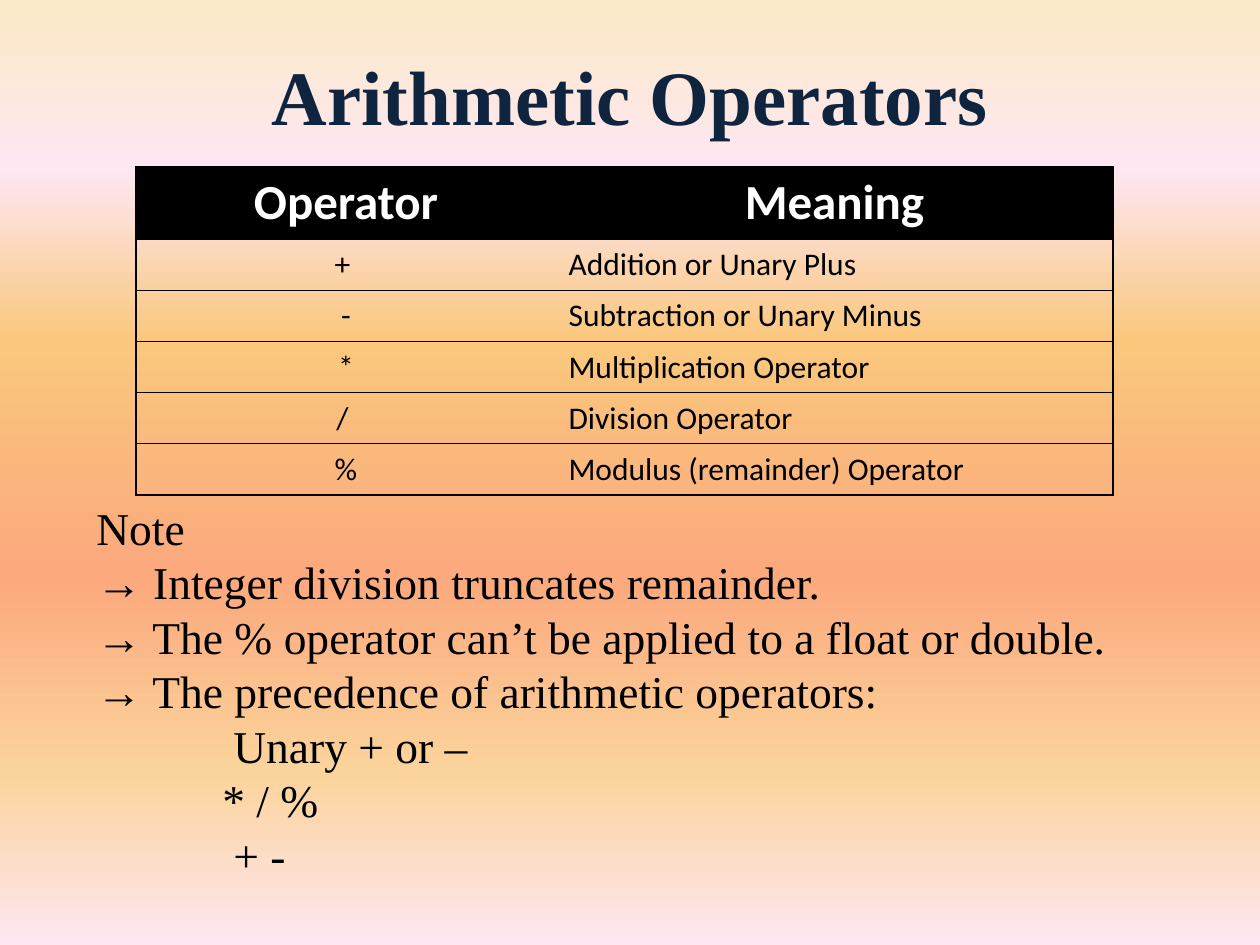
from typing import NamedTuple

from pptx import Presentation
from pptx import util as u
from pptx.dml.color import RGBColor
from pptx.enum import text as t
from pptx.oxml import parse_xml
from pptx.oxml.ns import nsdecls, qn

PX = 914400 / 126
SERIF, SANS = "Times New Roman", "Calibri"
BLACK, WHITE, NAVY = "000000", "FFFFFF", "0F243E"


class Operator(NamedTuple):
    symbol: str
    meaning: str


class NoteLine(NamedTuple):
    wording: str
    indent: int = 0


class Stop(NamedTuple):
    percent: int
    color: str


HEADER = Operator("Operator", "Meaning")
OPERATORS = [
    Operator("+ ", "Addition or Unary Plus"),
    Operator("-", "Subtraction or Unary Minus"),
    Operator("*", "Multiplication Operator"),
    Operator("/ ", "Division Operator"),
    Operator("%", "Modulus (remainder) Operator"),
]
NOTES = [
    NoteLine("Note"),
    NoteLine("→ Integer division truncates remainder."),
    NoteLine("→ The % operator can’t be applied to a float or double."),
    NoteLine("→ The precedence of arithmetic operators:"),
    NoteLine("Unary + or –", 137),
    NoteLine("* / %", 126),
    NoteLine("+ -", 137),
]
SUNSET = [
    Stop(0, "FBEAC7"), Stop(18, "FEE7F2"), Stop(36, "FAC77D"),
    Stop(61, "FBA97D"), Stop(82, "FBD49C"), Stop(100, "FEE7F2"),
]
TITLE_FONT = {"name": SERIF, "size": u.Pt(44), "bold": True}
HEADER_FONT = {"name": SANS, "size": u.Pt(28), "bold": True}
CELL_FONT = {"name": SANS, "size": u.Pt(18), "bold": False}
NOTE_FONT = {"name": SERIF, "size": u.Pt(26), "bold": False}


def px(length: int) -> u.Emu:
    return u.Emu(round(length * PX))


def rgb(color: str) -> RGBColor:
    return RGBColor.from_string(color)


def write(paragraph, wording: str, font_format: dict, color: str, align) -> None:
    run = paragraph.add_run()
    run.text = wording
    paragraph.alignment = align
    for attribute, value in font_format.items():
        setattr(run.font, attribute, value)
    run.font.color.rgb = rgb(color)


def paint_background(slide, stops: list[Stop]) -> None:
    slide.background.fill.gradient()
    gradient = next(slide.element.iter(qn("a:gradFill")))
    stop_list = gradient.find(qn("a:gsLst"))
    for default_stop in list(stop_list):
        stop_list.remove(default_stop)
    for stop in stops:
        stop_list.append(parse_xml(
            f'<a:gs {nsdecls("a")} pos="{stop.percent * 1000}">'
            f'<a:srgbClr val="{stop.color}"/></a:gs>'))
    gradient.find(qn("a:lin")).set("ang", "5400000")


def set_borders(cell, visible: str) -> None:
    """Draw the named sides (L, R, T, B) and hide the others."""
    properties = cell._tc.get_or_add_tcPr()
    for position, side in enumerate("LRTB"):
        paint = (f'<a:solidFill><a:srgbClr val="{BLACK}"/></a:solidFill>'
                 if side in visible else "<a:noFill/>")
        properties.insert(position, parse_xml(
            f'<a:ln{side} {nsdecls("a")} w="9525">{paint}</a:ln{side}>'))


def draw_operators(slide) -> None:
    rows = [HEADER, *OPERATORS]
    header_height, row_height, widths = 72, 51, (420, 557)
    table = slide.shapes.add_table(
        len(rows), 2, px(136), px(167), px(sum(widths)),
        px(header_height + row_height * len(OPERATORS))).table
    table.horz_banding = False
    for column, width in zip(table.columns, widths):
        column.width = px(width)
    for index, operator in enumerate(rows):
        is_header = index == 0
        table.rows[index].height = px(header_height if is_header else row_height)
        for column, wording in enumerate(operator):
            cell = table.cell(index, column)
            centred = is_header or column == 0
            write(cell.text_frame.paragraphs[0], wording,
                  HEADER_FONT if is_header else CELL_FONT,
                  WHITE if is_header else BLACK,
                  t.PP_ALIGN.CENTER if centred else t.PP_ALIGN.LEFT)
            if is_header:
                cell.fill.solid()
                cell.fill.fore_color.rgb = rgb(BLACK)
            else:
                cell.fill.background()
            set_borders(cell, "LTB" if column == 0 else "RTB")


def draw_notes(slide) -> None:
    frame = slide.shapes.add_textbox(px(84), px(494), px(1081), px(398)).text_frame
    frame.word_wrap = True
    for index, note in enumerate(NOTES):
        paragraph = frame.add_paragraph() if index else frame.paragraphs[0]
        write(paragraph, note.wording, NOTE_FONT, BLACK, t.PP_ALIGN.LEFT)
        paragraph.line_spacing = u.Pt(31.1)
        if note.indent:
            paragraph._p.get_or_add_pPr().set("marL", str(px(note.indent)))


def main() -> None:
    deck = Presentation()
    deck.slide_width, deck.slide_height = px(1260), px(945)
    slide = deck.slides.add_slide(deck.slide_layouts[5])
    paint_background(slide, SUNSET)

    # Title
    title = slide.shapes.title
    place = {"left": 63, "top": 42, "width": 1134, "height": 105}
    for attribute, length in place.items():
        setattr(title, attribute, px(length))
    title.text_frame.vertical_anchor = t.MSO_ANCHOR.MIDDLE
    write(title.text_frame.paragraphs[0], "Arithmetic Operators",
          TITLE_FONT, NAVY, t.PP_ALIGN.CENTER)

    # Operator table and the notes below it
    draw_operators(slide)
    draw_notes(slide)
    deck.save("out.pptx")


if __name__ == "__main__":
    main()
